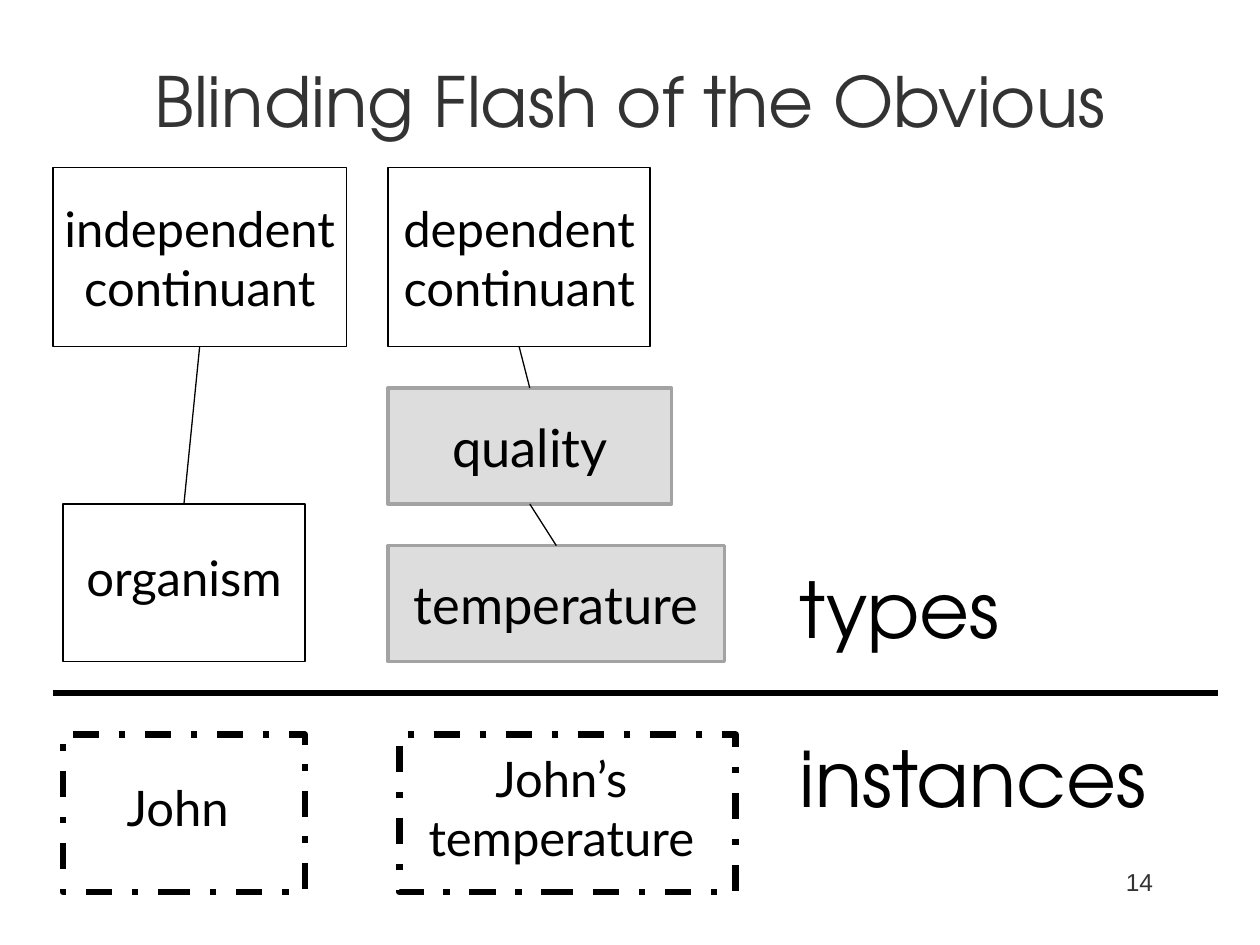
from lxml import etree
from pptx import Presentation
from pptx import util as u
from pptx.dml.color import RGBColor
from pptx.enum import dml, shapes, text
from pptx.oxml.ns import qn

COLORS = {"ink": "000000", "soft": "333333", "gray": "DDDDDD", "edge": "A3A3A3"}
LABEL_FONT, HEADING_FONT, NUMBER_FONT = "Lato", "TeX Gyre Adventor", "Arial"
BOTTOM, TOP = 2, 0


def rgb(name):
    """Return the named colour."""
    return RGBColor.from_string(COLORS[name])


def write(shape, content, size=28, font=LABEL_FONT, color="ink", wrap=True,
          align=text.PP_ALIGN.CENTER, anchor=text.MSO_ANCHOR.MIDDLE, bottom=0.05):
    """Fill a shape with text, one paragraph a line."""
    frame = shape.text_frame
    frame.word_wrap = wrap
    frame.vertical_anchor = anchor
    frame.margin_bottom = u.Inches(bottom)
    frame.text = content
    for paragraph in frame.paragraphs:
        paragraph.alignment = align
        paragraph.font.size = u.Pt(size)
        paragraph.font.name = font
        paragraph.font.color.rgb = rgb(color)


class Diagram:
    """Draws styled elements on the current slide."""

    def __init__(self, slide):
        """Keep the slide to draw on."""
        self.shapes = slide.shapes

    def label(self, content, box, **style):
        """Add a free text."""
        shape = self.shapes.add_textbox(*map(u.Inches, box))
        write(shape, content, **style)

    def heading(self, content, box):
        """Add a large region name."""
        self.label(content, box, size=44, font=HEADING_FONT,
                   align=text.PP_ALIGN.LEFT, anchor=text.MSO_ANCHOR.TOP)

    def box(self, content, box, fill=None, edge="ink", width=0.75, dash=None, **style):
        """Add a rectangle with centred text."""
        shape = self.shapes.add_shape(shapes.MSO_SHAPE.RECTANGLE, *map(u.Inches, box))
        shape.shadow.inherit = False
        if fill:
            shape.fill.solid()
            shape.fill.fore_color.rgb = rgb(fill)
        else:
            shape.fill.background()
        shape.line.color.rgb = rgb(edge)
        shape.line.width = u.Pt(width)
        if dash:
            shape.line.dash_style = dash
        write(shape, content, **style)
        return shape

    def type_box(self, content, box, **style):
        """Add a thinly outlined type."""
        return self.box(content, box, wrap=False, **style)

    def quality_box(self, content, box):
        """Add a gray quality type."""
        return self.box(content, box, fill="gray", edge="edge", width=2, size=30)

    def instance_box(self, content, box):
        """Add a dash-dotted instance."""
        return self.box(content, box, width=3.75, dash=dml.MSO_LINE.DASH_DOT,
                        wrap=False, bottom=0.15)

    def line(self, start=(0, 0), end=(0, 0), width=0.75):
        """Add a straight line."""
        connector = self.shapes.add_connector(
            shapes.MSO_CONNECTOR.STRAIGHT, *map(u.Inches, (*start, *end)))
        connector.line.color.rgb = rgb("ink")
        connector.line.width = u.Pt(width)
        etree.SubElement(connector._element.spPr, qn("a:effectLst"))
        return connector

    def link(self, parent, child):
        """Join the bottom of a parent to the top of its child."""
        connector = self.line()
        connector.begin_connect(parent, BOTTOM)
        connector.end_connect(child, TOP)


def main():
    """Build and save the slide."""
    presentation = Presentation()
    presentation.slide_width, presentation.slide_height = u.Inches(10), u.Inches(7.5)
    diagram = Diagram(presentation.slides.add_slide(presentation.slide_layouts[6]))

    diagram.label("Blinding Flash of the Obvious", (0, 0.42, 10, 0.75),
                  size=39.6, font=HEADING_FONT, color="soft")

    independent = diagram.type_box("independent\ncontinuant", (0.42, 1.33, 2.33, 1.42))
    dependent = diagram.type_box("dependent\ncontinuant", (3.08, 1.33, 2.08, 1.42))
    quality = diagram.quality_box("quality", (3.08, 3.08, 2.25, 0.92))
    temperature = diagram.quality_box("temperature", (3.08, 4.33, 2.67, 0.92))
    organism = diagram.type_box("organism", (0.5, 4, 1.92, 1.25), bottom=0.15)
    for parent, child in ((independent, organism), (dependent, quality),
                          (quality, temperature)):
        diagram.link(parent, child)

    diagram.line((0.42, 5.5), (9.67, 5.5), width=3)
    diagram.heading("types", (6.25, 4.41, 2.25, 0.84))
    diagram.heading("instances", (6.25, 5.75, 3.17, 0.84))

    diagram.instance_box("John ", (0.5, 5.83, 1.92, 1.25))
    diagram.instance_box("John’s \ntemperature ", (3.17, 5.83, 2.67, 1.25))
    diagram.label("14", (7.17, 6.83, 2.08, 0.5), size=14, font=NUMBER_FONT,
                  color="soft", align=text.PP_ALIGN.RIGHT, anchor=text.MSO_ANCHOR.TOP)

    presentation.save("out.pptx")


if __name__ == "__main__":
    main()
